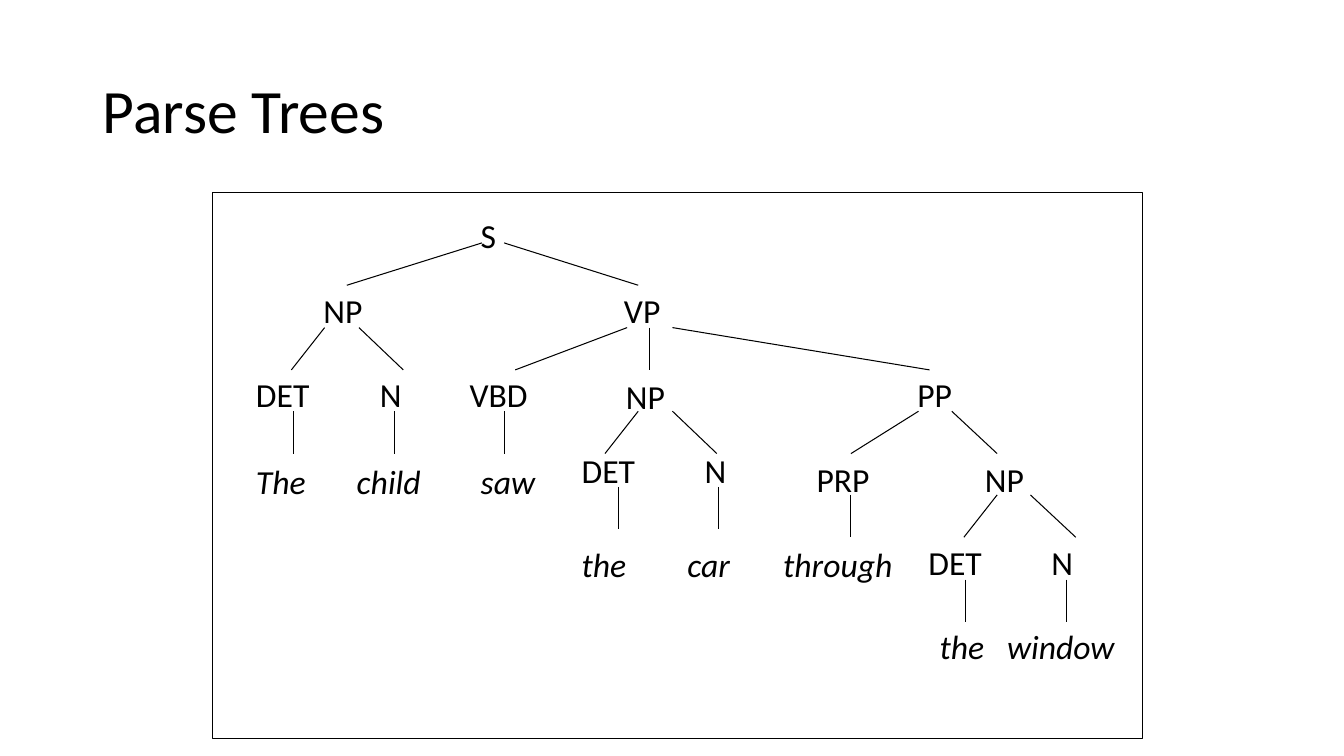
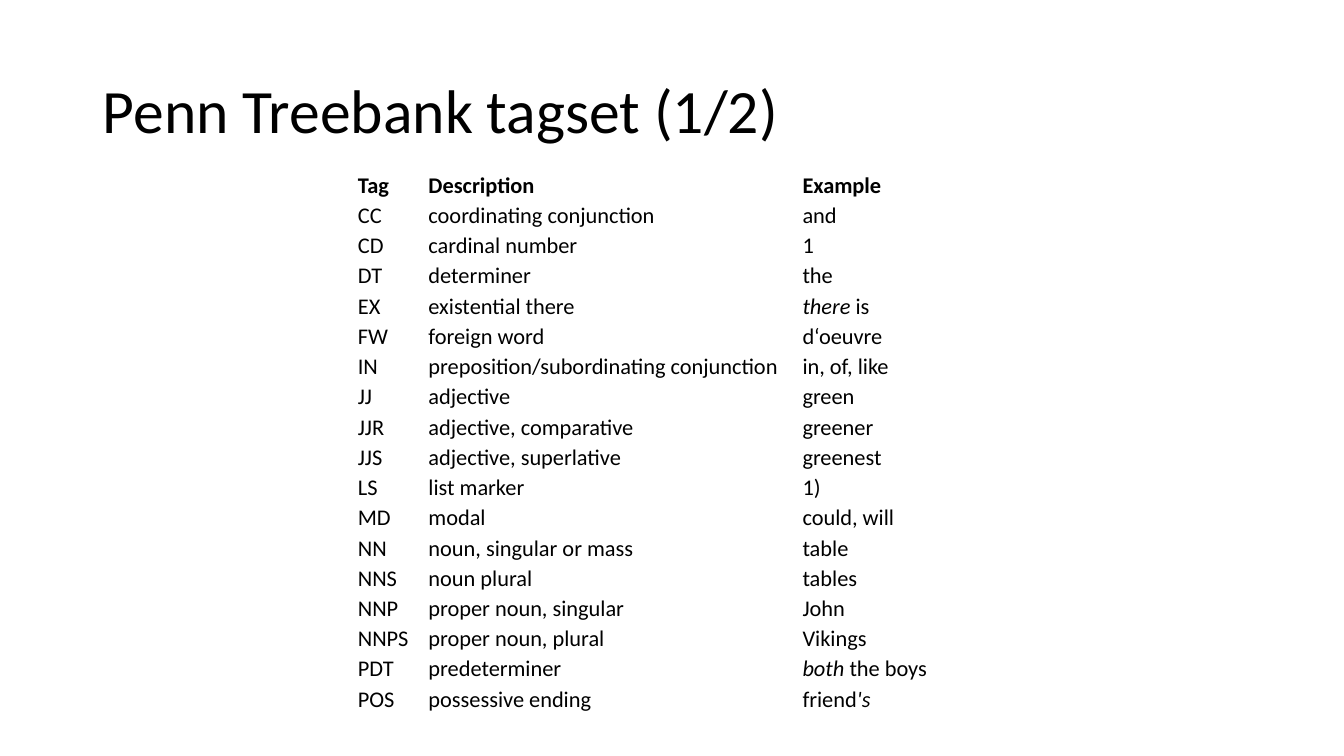
from dataclasses import dataclass

from pptx import Presentation
from pptx.dml.color import RGBColor
from pptx.enum.shapes import MSO_CONNECTOR, MSO_SHAPE
from pptx.enum.text import MSO_ANCHOR, MSO_AUTO_SIZE, PP_ALIGN
from pptx.oxml.ns import qn
from pptx.util import Inches, Pt
from lxml.etree import SubElement


@dataclass(frozen=True)
class Theme:
    ink: RGBColor = RGBColor(0x00, 0x00, 0x00)
    font: str = "Calibri"
    title_size: int = 44
    tree_size: int = 24
    table_size: int = 16
    line_width: float = 0.75


theme = Theme()

presentation = Presentation()
presentation.slide_width = Inches(13.33)
presentation.slide_height = Inches(7.5)

# Shared title position, inherited by both slides
layout = presentation.slide_layouts.get_by_name("Title Only")
title_box = {"left": 0.92, "top": 0.4, "width": 11.5, "height": 1.45}
for side, length in title_box.items():
    setattr(layout.placeholders[0], side, Inches(length))


def add_run(paragraph, text, size, **emphasis):
    run = paragraph.add_run()
    run.text = text
    run.font.color.rgb = theme.ink
    font_format = {"name": theme.font, "size": Pt(size), **emphasis}
    for attribute, value in font_format.items():
        setattr(run.font, attribute, value)


def add_titled_slide(title):
    slide = presentation.slides.add_slide(layout)
    text_frame = slide.shapes.title.text_frame
    text_frame.vertical_anchor = MSO_ANCHOR.MIDDLE
    paragraph = text_frame.paragraphs[0]
    paragraph.alignment = PP_ALIGN.LEFT
    paragraph.line_spacing = 0.9
    add_run(paragraph, title, theme.title_size)
    return slide


# Slide 1: parse tree
slide = add_titled_slide("Parse Trees")

# Frame
frame = slide.shapes.add_shape(
    MSO_SHAPE.RECTANGLE, Inches(2.11), Inches(1.91), Inches(9.22), Inches(5.42)
)
frame.shadow.inherit = False
frame.fill.background()
frame.line.color.rgb = theme.ink
frame.line.width = Pt(theme.line_width)

# Branches: top of each row, then the start and end across the slide
branch_drop = 0.42
branch_rows = {
    2.41: [(4.78, 3.44), (5, 6.33)],
    3.25: [(3.22, 2.89), (3.56, 4), (6.22, 5.11), (6.44, 6.44), (6.67, 9.22)],
    4.08: [(2.91, 2.91), (3.91, 3.91), (5, 5), (6.33, 6), (6.67, 7.11),
           (9.11, 8.44), (9.44, 9.89)],
    4.83: [(6.13, 6.13), (7.13, 7.13)],
    4.91: [(8.44, 8.44), (9.89, 9.56), (10.22, 10.67)],
    5.75: [(9.58, 9.58), (10.58, 10.58)],
}
for top, branches in branch_rows.items():
    for start, end in branches:
        branch = slide.shapes.add_connector(
            MSO_CONNECTOR.STRAIGHT,
            Inches(start), Inches(top), Inches(end), Inches(top + branch_drop),
        )
        branch.line.color.rgb = theme.ink
        branch.line.width = Pt(theme.line_width)
        SubElement(branch.element.spPr, qn("a:effectLst"))

# Labels: text, left and width by row; words of the sentence are italic
label_height = 0.5
category_rows = {
    2.08: [("S", 4.67, 0.44)],
    2.83: [("NP", 3.11, 0.78), ("VP", 6.09, 0.78)],
    3.66: [("DET", 2.44, 0.89), ("N", 3.67, 0.78), ("VBD", 4.56, 1),
           ("PP", 9, 0.78)],
    3.68: [("NP", 6.11, 0.78)],
    4.41: [("DET", 5.67, 0.89), ("N", 6.89, 0.78)],
    4.5: [("PRP", 8, 0.89), ("NP", 9.67, 0.78)],
    5.33: [("DET", 9.11, 0.89), ("N", 10.33, 0.78)],
}
word_rows = {
    4.52: [("The", 2.44, 0.89), ("child", 3.44, 1), ("saw", 4.67, 1)],
    5.35: [("the", 5.67, 0.78), ("car", 6.72, 1.06), ("through", 7.67, 1.56)],
    6.16: [("the", 9.22, 0.89), ("window", 9.89, 1.44)],
}
for label_rows, italic in ((category_rows, False), (word_rows, True)):
    for top, labels in label_rows.items():
        for text, left, width in labels:
            label = slide.shapes.add_textbox(
                Inches(left), Inches(top), Inches(width), Inches(label_height)
            )
            label.text_frame.word_wrap = True
            label.text_frame.auto_size = MSO_AUTO_SIZE.SHAPE_TO_FIT_TEXT
            add_run(label.text_frame.paragraphs[0], text, theme.tree_size, italic=italic)

# Slide 2: tagset table
slide = add_titled_slide("Penn Treebank tagset (1/2)")

# Asterisks enclose the italic part of an example
tagset = [
    ("Tag", "Description", "Example"),
    ("CC", "coordinating conjunction", "and"),
    ("CD", "cardinal number", "1"),
    ("DT", "determiner", "the"),
    ("EX", "existential there", "*there* is"),
    ("FW", "foreign word", "d‘oeuvre"),
    ("IN", "preposition/subordinating conjunction", "in, of, like"),
    ("JJ", "adjective", "green"),
    ("JJR", "adjective, comparative", "greener"),
    ("JJS", "adjective, superlative", "greenest"),
    ("LS", "list marker", "1)"),
    ("MD", "modal", "could, will"),
    ("NN", "noun, singular or mass", "table"),
    ("NNS", "noun plural", "tables"),
    ("NNP", "proper noun, singular", "John"),
    ("NNPS", "proper noun, plural", "Vikings"),
    ("PDT", "predeterminer", "*both* the boys"),
    ("POS", "possessive ending", "friend*'s*"),
]
column_widths = [0.7, 3.71, 2.37]
row_height = 0.3
cell_format = {
    "vertical_anchor": MSO_ANCHOR.MIDDLE,
    "margin_left": Inches(0.04),
    "margin_right": Inches(0.04),
    "margin_top": Inches(0.01),
    "margin_bottom": Inches(0.01),
}

table = slide.shapes.add_table(
    len(tagset), len(column_widths), Inches(3.51), Inches(1.69),
    Inches(sum(column_widths)), Inches(row_height * len(tagset)),
).table
table.first_row = False
table.horz_banding = False
for column, width in zip(table.columns, column_widths):
    column.width = Inches(width)

for row_number, (row, texts) in enumerate(zip(table.rows, tagset)):
    row.height = Inches(row_height)
    for cell, text in zip(row.cells, texts):
        cell.fill.background()
        for attribute, value in cell_format.items():
            setattr(cell, attribute, value)
        paragraph = cell.text_frame.paragraphs[0]
        for part_number, part in enumerate(text.split("*")):
            if part:
                add_run(paragraph, part, theme.table_size,
                        bold=row_number == 0, italic=part_number % 2 == 1)

presentation.save("out.pptx")
